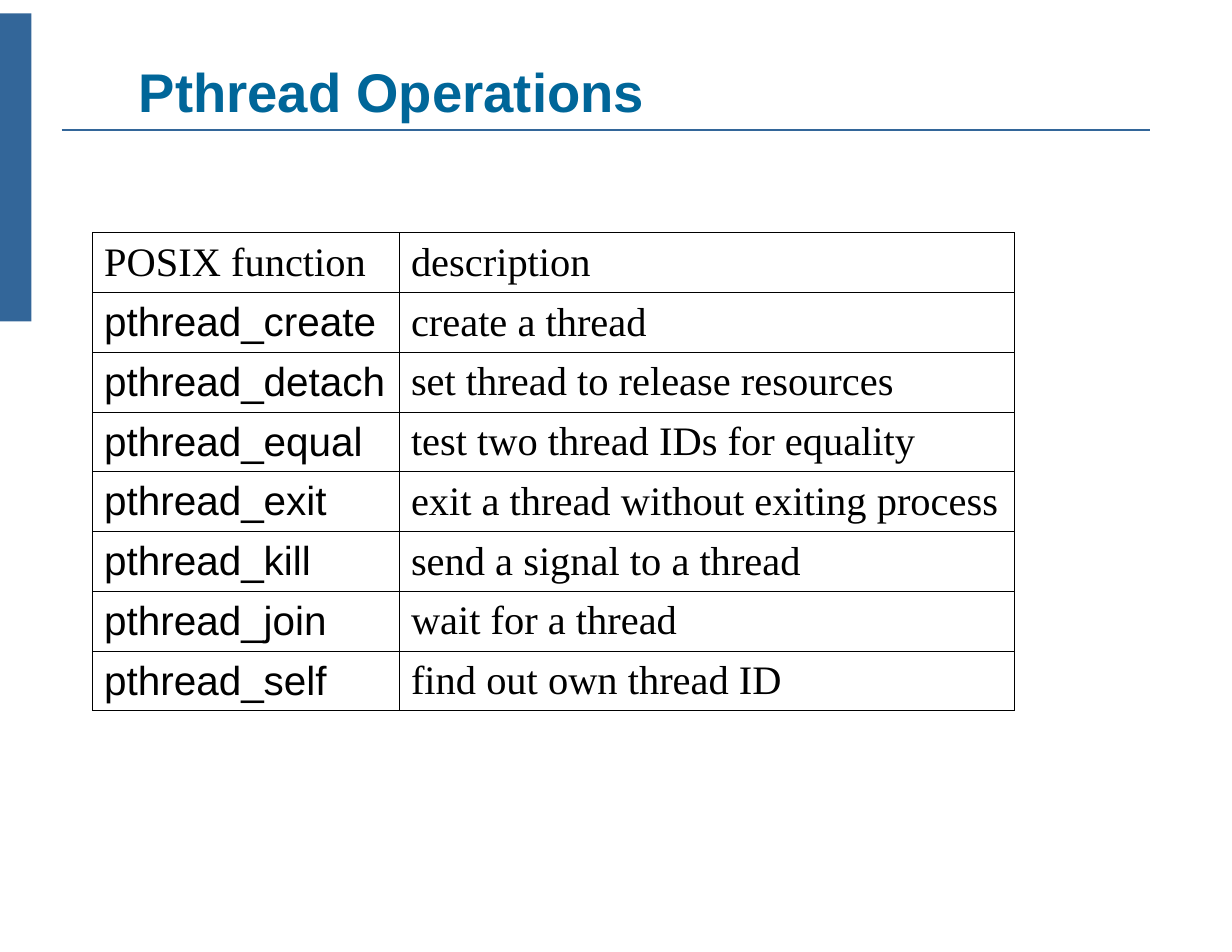
"""Build the Pthread Operations slide with its table of POSIX functions."""
import pptx
import pptx.dml.color
import pptx.enum.shapes
import pptx.enum.text
import pptx.oxml
import pptx.oxml.ns
import pptx.util
from pptx.util import Inches

COLORS = {"accent": "336699", "title": "006699", "text": "000000", "background": "FFFFFF"}
SANS, SERIF = "Arial", "Times New Roman"
ROWS = [
    ("POSIX function", "description"),
    ("pthread_create", "create a thread"),
    ("pthread_detach", "set thread to release resources"),
    ("pthread_equal", "test two thread IDs for equality"),
    ("pthread_exit", "exit a thread without exiting process"),
    ("pthread_kill", "send a signal to a thread"),
    ("pthread_join", "wait for a thread"),
    ("pthread_self", "find out own thread ID"),
]
COLUMN_WIDTHS = (2.74, 5.49)
TABLE_HEIGHT = 4.27


def color(name):
    """Return the named colour."""
    return pptx.dml.color.RGBColor.from_string(COLORS[name])


def apply_format(target, values):
    """Set each attribute of the target from the format values."""
    for name, value in values.items():
        setattr(target, name, value)


def write_text(text_frame, text, color_name, **font_values):
    """Write one formatted run into the text frame."""
    run = text_frame.paragraphs[0].add_run()
    run.text = text
    apply_format(run.font, font_values)
    run.font.color.rgb = color(color_name)


def add_side_bar(slide):
    """Add the coloured bar at the left edge."""
    shape = slide.shapes.add_shape(
        pptx.enum.shapes.MSO_SHAPE.RECTANGLE, 0, Inches(0.12), Inches(0.28), Inches(2.75))
    shape.shadow.inherit = False
    shape.fill.solid()
    shape.fill.fore_color.rgb = color("accent")
    shape.line.fill.background()


def add_title_rule(slide):
    """Add the thin line under the title."""
    connector = slide.shapes.add_connector(
        pptx.enum.shapes.MSO_CONNECTOR.STRAIGHT,
        Inches(0.55), Inches(1.16), Inches(10.27), Inches(1.16))
    connector.line.color.rgb = color("accent")
    connector.line.width = pptx.util.Pt(1.68)
    properties = connector.element.find(pptx.oxml.ns.qn("p:spPr"))
    properties.append(pptx.oxml.parse_xml(
        f'<a:effectLst {pptx.oxml.ns.nsdecls("a")}/>'))


def add_title(slide, text):
    """Add the slide title."""
    shape = slide.shapes.add_textbox(Inches(1.24), Inches(0.47), Inches(8.52), Inches(1.6))
    apply_format(shape.text_frame, {
        "word_wrap": True, "margin_left": 0, "margin_right": 0,
        "margin_top": Inches(0.05), "margin_bottom": 0,
        "vertical_anchor": pptx.enum.text.MSO_ANCHOR.TOP})
    write_text(shape.text_frame, text, "title", name=SANS, size=pptx.util.Pt(35), bold=True)


def add_borders(cell):
    """Draw a thin line on all four sides of the cell."""
    properties = cell._tc.get_or_add_tcPr()
    for index, side in enumerate(("lnL", "lnR", "lnT", "lnB")):
        properties.insert(index, pptx.oxml.parse_xml(
            f'<a:{side} {pptx.oxml.ns.nsdecls("a")} w="{pptx.util.Pt(0.75)}"><a:solidFill>'
            f'<a:srgbClr val="{COLORS["text"]}"/></a:solidFill></a:{side}>'))


def fill_cell(cell, text, font_name):
    """Write and format one table cell."""
    apply_format(cell, {
        "margin_left": Inches(0.1), "margin_right": Inches(0.1),
        "margin_top": Inches(0.05), "margin_bottom": Inches(0.05),
        "vertical_anchor": pptx.enum.text.MSO_ANCHOR.MIDDLE})
    write_text(cell.text_frame, text, "text", name=font_name, size=pptx.util.Pt(26), bold=False)
    cell.fill.background()
    add_borders(cell)


def add_function_table(slide):
    """Add the table of functions and descriptions."""
    table = slide.shapes.add_table(
        len(ROWS), len(COLUMN_WIDTHS), Inches(0.83), Inches(2.08),
        Inches(sum(COLUMN_WIDTHS)), Inches(TABLE_HEIGHT)).table
    apply_format(table, {"first_row": False, "horz_banding": False})
    for column, width in zip(table.columns, COLUMN_WIDTHS):
        column.width = Inches(width)
    for row_index, texts in enumerate(ROWS):
        table.rows[row_index].height = Inches(TABLE_HEIGHT / len(ROWS))
        for column_index, text in enumerate(texts):
            is_function = row_index > 0 and column_index == 0
            fill_cell(table.cell(row_index, column_index), text, SANS if is_function else SERIF)


def main():
    """Build and save the presentation."""
    presentation = pptx.Presentation()
    apply_format(presentation, {"slide_width": Inches(11), "slide_height": Inches(8.5)})
    slide = presentation.slides.add_slide(presentation.slide_layouts[6])
    slide.background.fill.solid()
    slide.background.fill.fore_color.rgb = color("background")
    add_side_bar(slide)
    add_title_rule(slide)
    add_title(slide, "Pthread Operations")
    add_function_table(slide)
    presentation.save("out.pptx")


if __name__ == "__main__":
    main()
